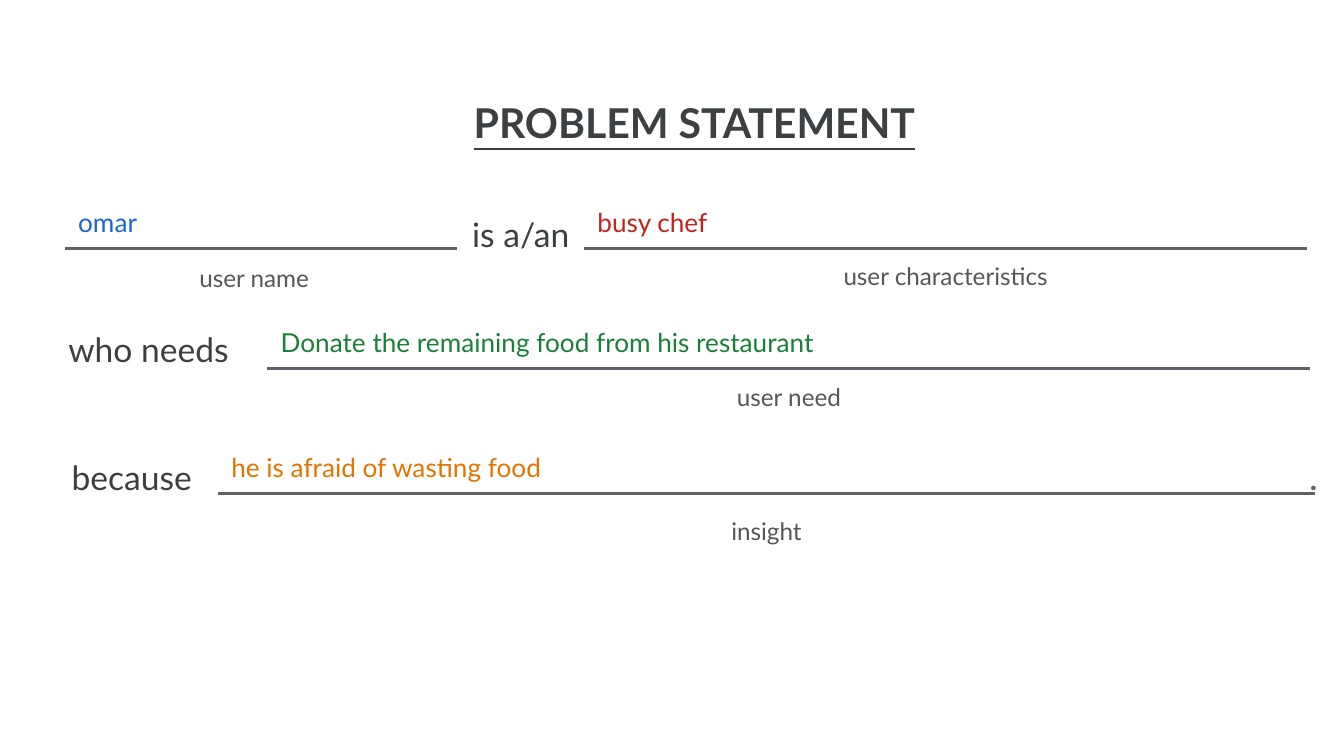
from collections import namedtuple

from lxml.etree import SubElement
from pptx import Presentation
from pptx.dml.color import RGBColor
from pptx.enum.shapes import MSO_CONNECTOR
from pptx.enum.text import MSO_ANCHOR, PP_ALIGN
from pptx.oxml.ns import qn
from pptx.util import Inches, Pt

CELL = Inches(0.1)
COLUMNS, ROWS = 100, 56.25
ANSWER_ROWS = 4.15

INK = RGBColor(0x3C, 0x40, 0x43)
CAPTION = RGBColor(0x57, 0x57, 0x57)
STOP = RGBColor(0x64, 0x64, 0x64)
RULE = RGBColor(0x5E, 0x62, 0x68)
BLUE = RGBColor(0x19, 0x67, 0xD2)
RED = RGBColor(0xC5, 0x22, 0x1F)
GREEN = RGBColor(0x18, 0x80, 0x38)
ORANGE = RGBColor(0xE3, 0x74, 0x00)

Box = namedtuple("Box", "left top width height")


def cells(count):
    """Turn a number of grid cells into a length."""
    return round(count * CELL)


def add_text(page, box, text, size, color, align=PP_ALIGN.CENTER, inset=1):
    """Write one line of text at the top of the box."""
    shape = page.shapes.add_textbox(*map(cells, box))
    frame = shape.text_frame
    frame.word_wrap = True
    frame.vertical_anchor = MSO_ANCHOR.TOP
    frame.margin_left = frame.margin_right = cells(inset)
    frame.margin_top = frame.margin_bottom = cells(inset)
    para = frame.paragraphs[0]
    para.text = text
    para.alignment = align
    para.font.name = "Lato"
    para.font.size = Pt(size)
    para.font.color.rgb = color
    return para


def add_title(page, box):
    """Write the bold underlined heading."""
    para = add_text(page, box, "PROBLEM STATEMENT", 22, INK)
    para.font.bold = True
    para.font.underline = True


def add_blank(page, box, answer, color, caption, caption_box):
    """Fill in one answer on a rule along the bottom of the box, with its caption."""
    add_text(page, box, answer, 14, color, PP_ALIGN.LEFT)
    bottom = box.top + box.height
    ends = box.left, bottom, box.left + box.width, bottom
    rule = page.shapes.add_connector(MSO_CONNECTOR.STRAIGHT, *map(cells, ends))
    rule.line.color.rgb = RULE
    rule.line.width = Pt(1.5)
    SubElement(rule._element.spPr, qn("a:effectLst"))
    add_text(page, caption_box, caption, 13, CAPTION)


def add_statement(page):
    """Lay out the joining words and the four blanks of the sentence."""
    joining_words = [
        ("is a/an", Box(34, 15.4, 9.5, 4), 0.5),
        ("who needs", Box(0.9, 23.5, 20.3, 6.3), 1),
        ("because", Box(0.9, 33, 17.8, 5.4), 1),
    ]
    for words, box, inset in joining_words:
        add_text(page, box, words, 18, INK, inset=inset)

    blanks = [
        (4.83, 14.36, 29.2, "omar", BLUE, "user name", Box(4.3, 18.6, 29.2, 3.5)),
        (43.47, 14.36, 53.76, "busy chef", RED, "user characteristics",
         Box(43.47, 18.44, 53.76, 3.5)),
        (19.9, 23.3, 77.6, "Donate the remaining food from his restaurant", GREEN,
         "user need", Box(19.9, 27.44, 77.6, 5.2)),
        (16.23, 32.6, 81.6, "he is afraid of wasting food", ORANGE,
         "insight", Box(16.23, 37.4, 81.6, 6.3)),
    ]
    for left, top, width, *content in blanks:
        add_blank(page, Box(left, top, width, ANSWER_ROWS), *content)

    add_text(page, Box(96.9, 33.2, 3.2, 4.4), ".", 20, STOP, PP_ALIGN.LEFT, 0.5)


def main():
    """Build and save the deck."""
    deck = Presentation()
    deck.slide_width, deck.slide_height = cells(COLUMNS), cells(ROWS)
    page = deck.slides.add_slide(deck.slide_layouts[6])
    add_title(page, Box(4.32, 6.24, 94.7, 5.4))
    add_statement(page)
    deck.save("out.pptx")


if __name__ == "__main__":
    main()
